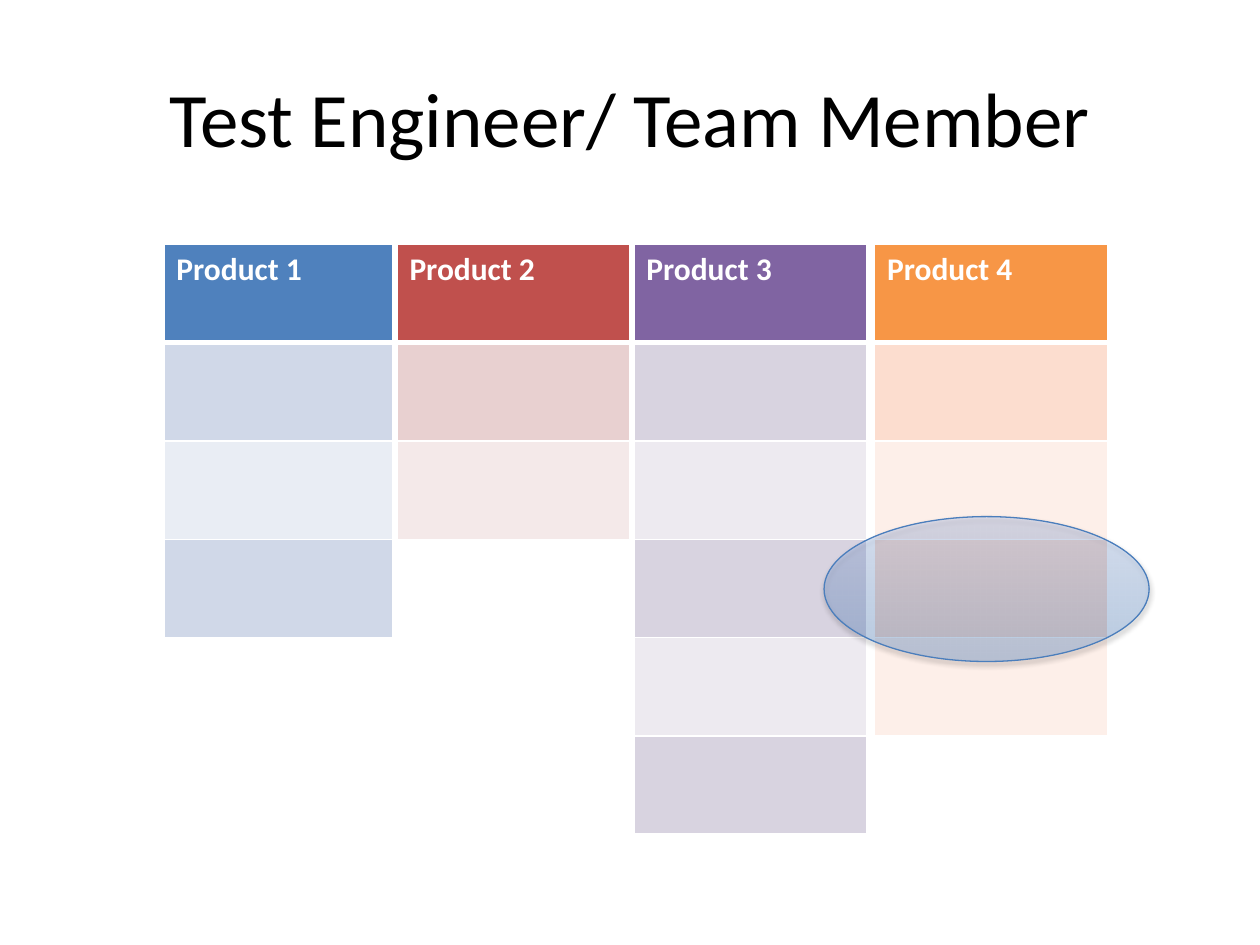
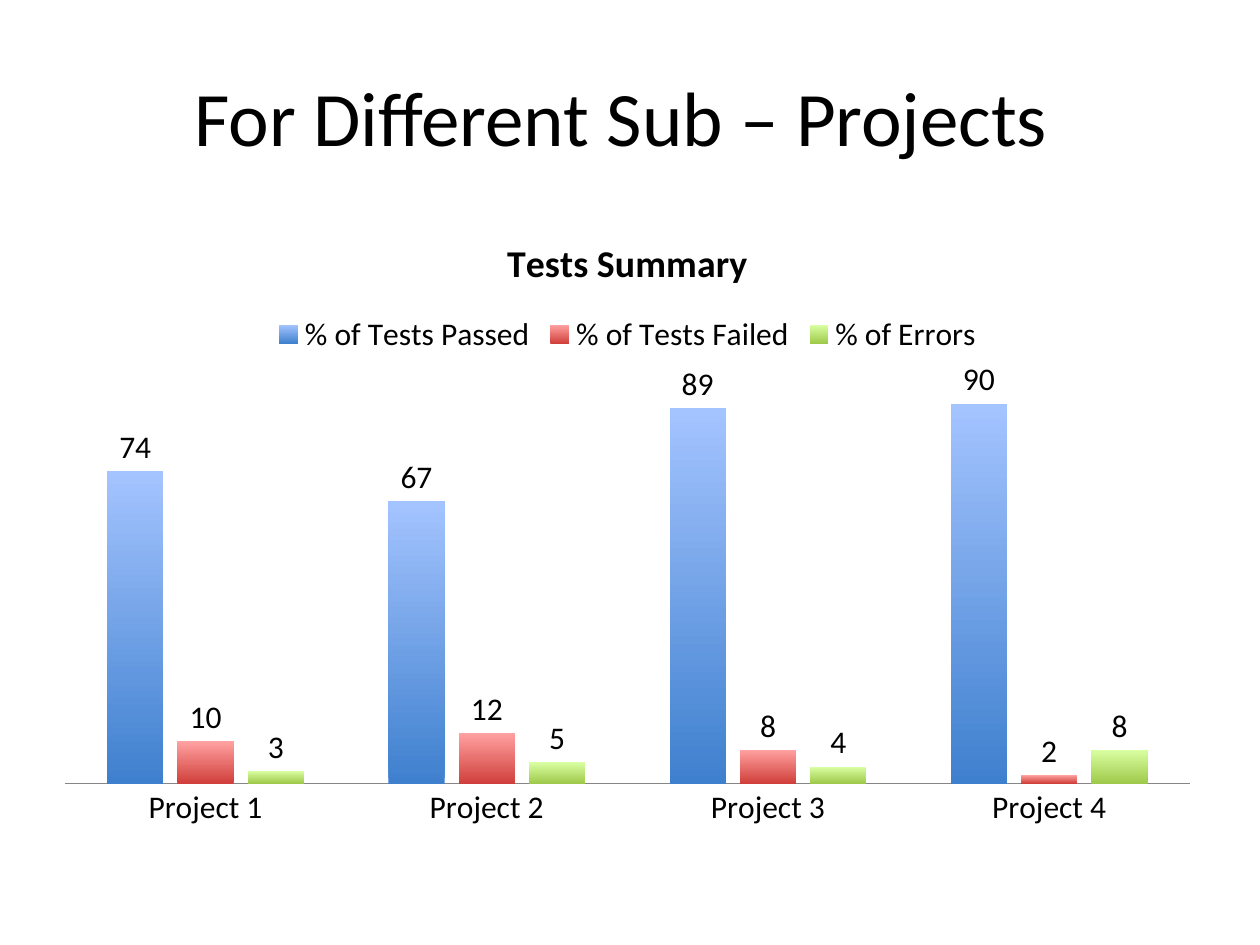
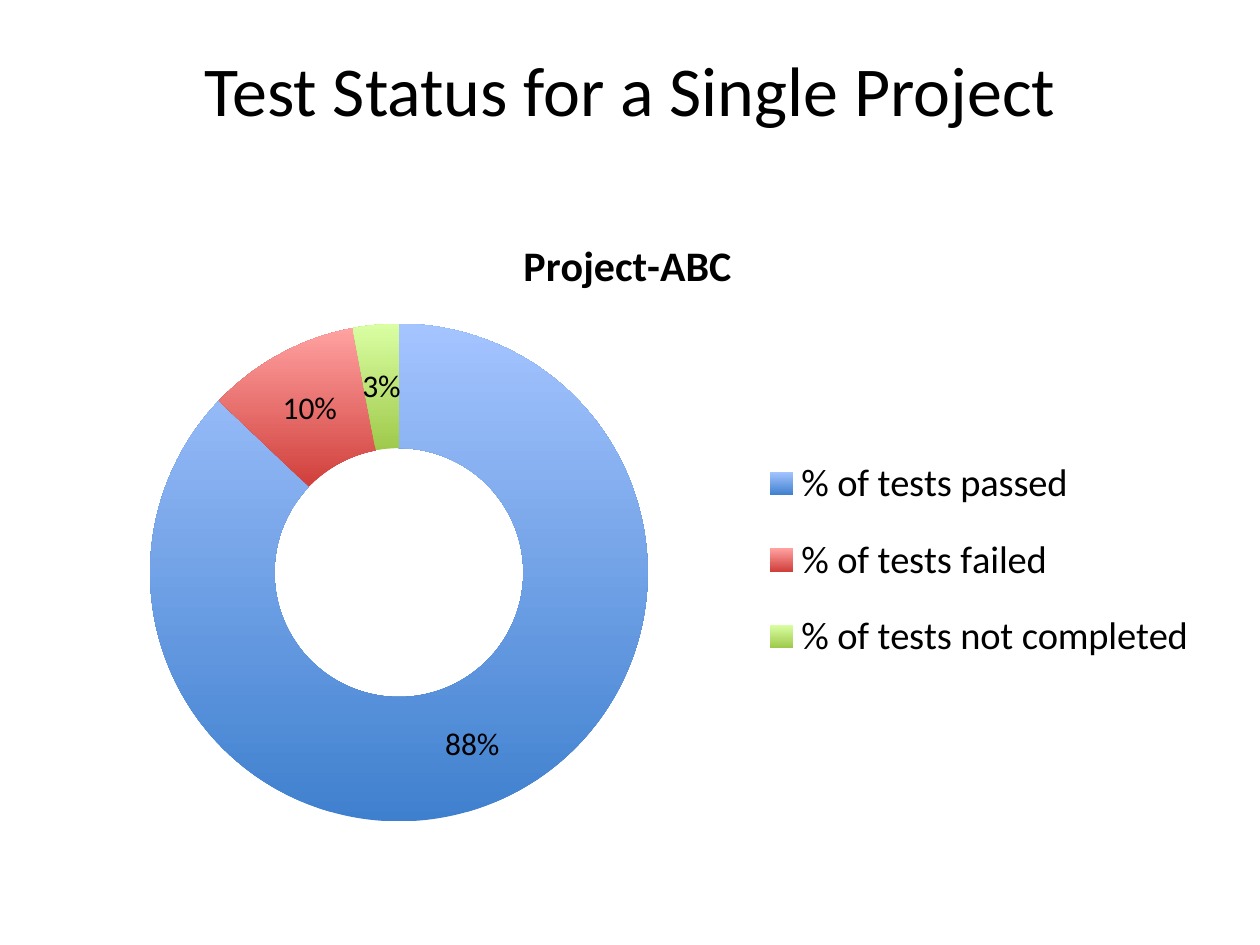
from lxml import etree
from pptx import Presentation
from pptx.chart.data import CategoryChartData
from pptx.dml.color import RGBColor
from pptx.enum.chart import (
    XL_CHART_TYPE as ChartType,
    XL_LABEL_POSITION as LabelPosition,
    XL_LEGEND_POSITION as LegendPosition,
    XL_TICK_LABEL_POSITION as TickLabelPosition,
    XL_TICK_MARK as TickMark,
)
from pptx.enum.shapes import MSO_SHAPE as ShapeType
from pptx.enum.text import MSO_ANCHOR as Anchor, PP_ALIGN as Align
from pptx.oxml.ns import qn
from pptx.util import Emu, Pt

EMU_PER_PX = 9144  # 100 px to the inch
FONT = "Calibri"
TITLE_ONLY = 5

BLACK = RGBColor(0x00, 0x00, 0x00)
WHITE = RGBColor(0xFF, 0xFF, 0xFF)
AXIS_GREY = RGBColor(0x86, 0x86, 0x86)
OUTLINE_BLUE = RGBColor(0x4B, 0x7E, 0xBC)

# Bottom and top colour of each gradient
BLUE_GRADIENT = (RGBColor(0x3F, 0x80, 0xCE), RGBColor(0xA4, 0xC4, 0xFF))
RED_GRADIENT = (RGBColor(0xD0, 0x3F, 0x3B), RGBColor(0xFF, 0xA2, 0xA1))
GREEN_GRADIENT = (RGBColor(0x9F, 0xC9, 0x4B), RGBColor(0xDA, 0xFF, 0xA3))
CHART_GRADIENTS = (BLUE_GRADIENT, RED_GRADIENT, GREEN_GRADIENT)

# Name, left, width, empty rows, header colour, dark band, light band
PRODUCTS = (
    ("Product 1", 130, 182, 3, RGBColor(0x4F, 0x81, 0xBD),
     RGBColor(0xD0, 0xD8, 0xE8), RGBColor(0xE9, 0xED, 0xF4)),
    ("Product 2", 315, 185, 2, RGBColor(0xC0, 0x50, 0x4D),
     RGBColor(0xE8, 0xD0, 0xD0), RGBColor(0xF4, 0xE9, 0xE9)),
    ("Product 3", 503, 185, 5, RGBColor(0x80, 0x64, 0xA2),
     RGBColor(0xD8, 0xD3, 0xE0), RGBColor(0xED, 0xEA, 0xF0)),
    ("Product 4", 694, 185, 4, RGBColor(0xF7, 0x96, 0x46),
     RGBColor(0xFC, 0xDD, 0xCF), RGBColor(0xFD, 0xEF, 0xE9)),
)
TABLE_TOP = 194
ROW_HEIGHT = 78
CHART_BOX = (33, 167, 930, 500)


def px(*lengths):
    return [Emu(length * EMU_PER_PX) for length in lengths]


def style_font(font, size, color=BLACK, bold=False):
    font.name = FONT
    font.size = Pt(size)
    font.bold = bold
    font.color.rgb = color


def add_titled_slide(presentation, text, box, size=44):
    slide = presentation.slides.add_slide(presentation.slide_layouts[TITLE_ONLY])
    title = slide.shapes.title
    title.left, title.top, title.width, title.height = px(*box)
    title.text_frame.text = text
    title.text_frame.vertical_anchor = Anchor.MIDDLE
    paragraph = title.text_frame.paragraphs[0]
    paragraph.alignment = Align.CENTER
    style_font(paragraph.runs[0].font, size)
    return slide


def set_gradient(fill, colors):
    """Fill from the first colour at the bottom to the second at the top."""
    fill.gradient()
    fill.gradient_angle = 90
    for stop, position, color in zip(fill.gradient_stops, (0, 1), colors):
        stop.position = position
        stop.color.rgb = color


def set_alpha(color_element, percent):
    alpha = etree.SubElement(color_element, qn("a:alpha"))
    alpha.set("val", str(percent * 1000))


def set_borders(cell, top, bottom):
    """Draw white cell borders; widths are in points."""
    properties = cell._tc.get_or_add_tcPr()
    widths = {"a:lnL": 1, "a:lnR": 1, "a:lnT": top, "a:lnB": bottom}
    for index, (tag, width) in enumerate(widths.items()):
        line = etree.Element(qn(tag), w=str(Pt(width)))
        fill = etree.SubElement(line, qn("a:solidFill"))
        etree.SubElement(fill, qn("a:srgbClr"), val=str(WHITE))
        properties.insert(index, line)


def add_product_table(slide, name, left, width, empty_rows, header, dark, light):
    row_count = empty_rows + 1
    frame = slide.shapes.add_table(
        row_count, 1, *px(left, TABLE_TOP, width, ROW_HEIGHT * row_count))
    table = frame.table
    table.horz_banding = False
    for index in range(row_count):
        cell = table.cell(index, 0)
        cell.fill.solid()
        if index == 0:
            cell.fill.fore_color.rgb = header
            cell.text_frame.text = name
            run = cell.text_frame.paragraphs[0].runs[0]
            style_font(run.font, 18, WHITE, bold=True)
        else:
            cell.fill.fore_color.rgb = dark if index % 2 else light
        set_borders(cell, top=3 if index == 1 else 1, bottom=1 if index else 3)


def add_highlight(slide, box):
    """Add a see-through ellipse with a soft shadow below it."""
    ellipse = slide.shapes.add_shape(ShapeType.OVAL, *px(*box))
    set_gradient(ellipse.fill, BLUE_GRADIENT)
    properties = ellipse._element.spPr
    for color in properties.findall(".//" + qn("a:gs") + "/" + qn("a:srgbClr")):
        set_alpha(color, 28)
    ellipse.line.color.rgb = OUTLINE_BLUE
    ellipse.line.width = Pt(0.75)
    ellipse.shadow.inherit = False
    shadow = etree.SubElement(
        properties.find(qn("a:effectLst")), qn("a:outerShdw"),
        blurRad=str(Pt(3.1)), dist=str(Pt(1.8)), dir="5400000", rotWithShape="0")
    set_alpha(etree.SubElement(shadow, qn("a:srgbClr"), val=str(BLACK)), 35)


def set_layout(parent, index, box, inner=False):
    """Place a chart part by x, y, width and height as shares of the chart."""
    for old_layout in parent.findall(qn("c:layout")):
        parent.remove(old_layout)
    layout = etree.Element(qn("c:layout"))
    manual = etree.SubElement(layout, qn("c:manualLayout"))
    entries = [("layoutTarget", "inner")] if inner else []
    entries += [("xMode", "edge"), ("yMode", "edge"), *zip("xywh", box)]
    for tag, value in entries:
        etree.SubElement(manual, qn("c:" + tag), val=str(value))
    parent.insert(index, layout)


def add_titled_chart(slide, chart_type, categories, series, title, title_size,
                     legend_position, legend_size, plot_box):
    data = CategoryChartData()
    data.categories = categories
    for name, values in series:
        data.add_series(name, values)
    chart = slide.shapes.add_chart(chart_type, *px(*CHART_BOX), data).chart
    style_font(chart.font, 18)

    chart.has_title = True
    chart.chart_title.include_in_layout = False
    chart.chart_title.text_frame.text = title
    run = chart.chart_title.text_frame.paragraphs[0].runs[0]
    style_font(run.font, title_size, bold=True)

    chart.has_legend = True
    chart.legend.position = legend_position
    chart.legend.include_in_layout = False
    style_font(chart.legend.font, legend_size)

    plot = chart.plots[0]
    plot.has_data_labels = True
    plot.data_labels.show_value = True
    plot.data_labels.show_percentage = False
    style_font(plot.data_labels.font, 18)
    set_layout(chart._chartSpace.chart.plotArea, 0, plot_box, inner=True)
    return chart


def add_summary_chart(slide):
    chart = add_titled_chart(
        slide, ChartType.COLUMN_CLUSTERED,
        [f"Project {number}" for number in range(1, 5)],
        (("% of Tests Passed", (74, 67, 89, 90)),
         ("% of Tests Failed", (10, 12, 8, 2)),
         ("% of Errors", (3, 5, 4, 8))),
        "Tests Summary", 21.6, LegendPosition.TOP, 18, (0.02, 0.24, 0.96, 0.67))
    plot = chart.plots[0]
    plot.vary_by_categories = False
    plot.gap_width = 150
    plot.overlap = -25
    plot.data_labels.position = LabelPosition.OUTSIDE_END
    for series, colors in zip(plot.series, CHART_GRADIENTS):
        set_gradient(series.format.fill, colors)

    value_axis = chart.value_axis
    value_axis.minimum_scale, value_axis.maximum_scale = 0, 100
    value_axis.has_major_gridlines = False
    value_axis.visible = False
    category_axis = chart.category_axis
    category_axis.major_tick_mark = TickMark.NONE
    category_axis.tick_label_position = TickLabelPosition.NEXT_TO_AXIS
    category_axis.format.line.color.rgb = AXIS_GREY
    category_axis.format.line.width = Pt(0.75)


def add_status_chart(slide):
    chart = add_titled_chart(
        slide, ChartType.DOUGHNUT,
        ("% of tests passed", "% of tests failed", "% of tests not completed"),
        (("Series 1", (88, 10, 3)),),
        "Project-ABC", 24, LegendPosition.RIGHT, 22, (0.09, 0.18, 0.43, 0.79))
    set_layout(chart.legend._element, 1, (0.61, 0.35, 0.38, 0.41))
    plot = chart.plots[0]
    plot.vary_by_categories = True
    plot.data_labels.number_format = '0"%"'
    plot.data_labels.number_format_is_linked = False
    for index, colors in enumerate(CHART_GRADIENTS):
        set_gradient(plot.series[0].points[index].format.fill, colors)


def main():
    presentation = Presentation()
    presentation.slide_width, presentation.slide_height = px(1000, 750)

    slide = add_titled_slide(
        presentation, "Test Engineer/ Team Member", (50, 30, 900, 125))
    for product in PRODUCTS:
        add_product_table(slide, *product)
    add_highlight(slide, (654, 410, 258, 115))

    slide = add_titled_slide(
        presentation, "For Different Sub – Projects ", (50, 29, 900, 125))
    add_summary_chart(slide)

    slide = add_titled_slide(
        presentation, "Test Status for a Single Project", (0, 29, 1000, 83), size=40)
    add_status_chart(slide)

    presentation.save("out.pptx")


if __name__ == "__main__":
    main()
